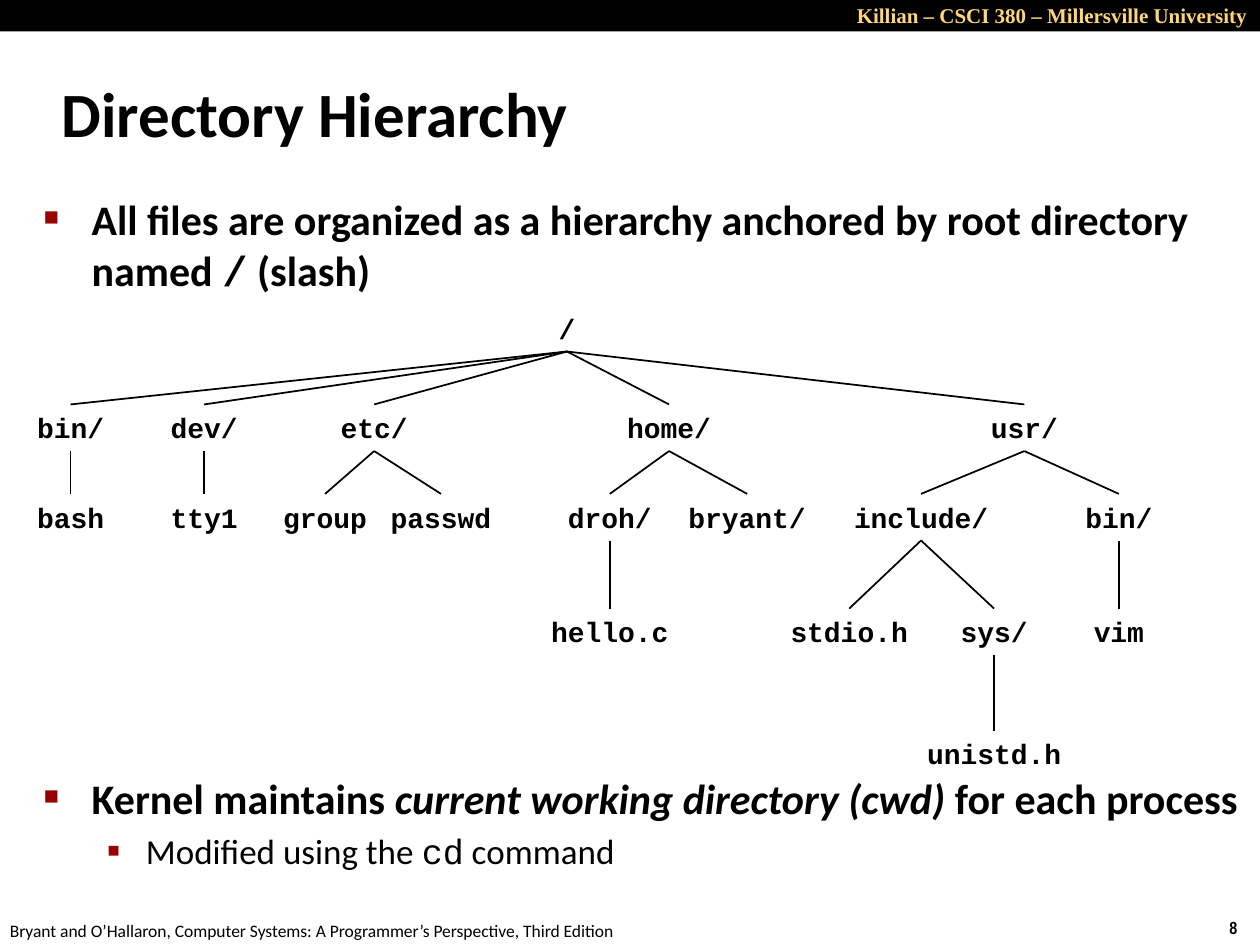
from lxml import etree
from pptx import Presentation
from pptx.dml.color import RGBColor
from pptx.enum.shapes import MSO_CONNECTOR, MSO_SHAPE
from pptx.enum.text import MSO_ANCHOR, PP_ALIGN
from pptx.oxml.ns import qn
from pptx.util import Inches, Pt

LINE, RECT = MSO_CONNECTOR.STRAIGHT, MSO_SHAPE.RECTANGLE
LEFT, MID, RIGHT = PP_ALIGN.LEFT, PP_ALIGN.CENTER, PP_ALIGN.RIGHT
CENTER = MSO_ANCHOR.MIDDLE
COLORS = {"ink": "000000", "gold": "FFD579", "red": "990000"}
SANS, MONO, SERIF, THIN = "Calibri", "Courier New", "Times New Roman", "Arial Narrow"

TITLE = "Directory Hierarchy"
LABELS = [
    ("Killian – CSCI 380 – Millersville University",
     (6.67, -0.03, 3.33, 0.3), RIGHT, (SERIF, 12, True, False, "gold")),
    ("8", (9.66, 7.23, 0.34, 0.27), LEFT, (THIN, 10, True)),
    ("Bryant and O’Hallaron, Computer Systems: A Programmer’s Perspective, Third Edition",
     (-0.02, 7.25, 5.08, 0.27), LEFT, (SANS, 10)),
]
HEAD, CODE = (SANS, 24, True), (MONO, 24, True)
SUB, CMD = (SANS, 20), (MONO, 20)
BODY = [
    {"level": 0, "before": 0, "runs": [
        ("All files are organized as a hierarchy anchored by root directory named ", HEAD),
        ("/", CODE), (" (slash)", HEAD)]},
    {"level": 0, "before": 273, "runs": [
        ("Kernel maintains ", HEAD),
        ("current working directory (cwd) ", (SANS, 24, True, True)),
        ("for each process", HEAD)]},
    {"level": 1, "before": 4, "runs": [
        ("Modified using the ", SUB), ("cd", CMD), (" command", SUB)]},
]
BULLETS = [(0.38, -0.38, "■", 60, MONO), (0.81, -0.31, "▪", 110, SANS)]
TREE = {
    "/": 4.5,
    "/bin/": 0.56, "/bin/bash": 0.56,
    "/dev/": 1.62, "/dev/tty1": 1.62,
    "/etc/": 2.97, "/etc/group": 2.58, "/etc/passwd": 3.5,
    "/home/": 5.31, "/home/droh/": 4.84, "/home/droh/hello.c": 4.84,
    "/home/bryant/": 5.93,
    "/usr/": 8.13, "/usr/include/": 7.31, "/usr/include/stdio.h": 6.74,
    "/usr/include/sys/": 7.89, "/usr/include/sys/unistd.h": 7.89,
    "/usr/bin/": 8.88, "/usr/bin/vim": 8.88,
}
ROWS = [2.42, 3.21, 3.92, 4.83, 5.8]
NODE_H, PAIR_W, PAD = 0.37, 0.27, 0.2


def color(name):
    """Return the named colour."""
    return RGBColor.from_string(COLORS[name])


def add_run(para, text, face, size, bold=False, italic=False, ink="ink"):
    """Add one styled run."""
    run = para.add_run()
    run.text = text
    font = run.font
    font.name, font.size, font.bold, font.italic = face, Pt(size), bold, italic
    font.color.rgb = color(ink)


def add_box(slide, box, wrap=False):
    """Add an empty text box and return it."""
    shape = slide.shapes.add_textbox(*map(Inches, box))
    shape.text_frame.word_wrap = wrap
    return shape


def add_label(slide, text, box, align, style):
    """Add a one-line label."""
    shape = add_box(slide, box)
    para = shape.text_frame.paragraphs[0]
    para.alignment = align
    add_run(para, text, *style)
    return shape


def set_bullet(para, level):
    """Give a paragraph the bullet and indent of its level."""
    left, hang, char, size, face = BULLETS[level]
    para.level = level
    props = para._p.get_or_add_pPr()
    props.set("marL", str(Inches(left)))
    props.set("indent", str(Inches(hang)))
    tint = etree.SubElement(props, qn("a:buClr"))
    etree.SubElement(tint, qn("a:srgbClr"), val=COLORS["red"])
    etree.SubElement(props, qn("a:buSzPct"), val=str(size * 1000))
    etree.SubElement(props, qn("a:buFont"), typeface=face)
    etree.SubElement(props, qn("a:buChar"), char=char)


def add_body(slide):
    """Add the bulleted text."""
    frame = add_box(slide, (0.25, 1.49, 9.73, 5.76), True).text_frame
    for i, item in enumerate(BODY):
        para = frame.add_paragraph() if i else frame.paragraphs[0]
        set_bullet(para, item["level"])
        para.space_before = Pt(item["before"])
        for text, style in item["runs"]:
            add_run(para, text, *style)


def add_link(slide, top, low):
    """Join a directory to one of its entries."""
    link = slide.shapes.add_connector(LINE, 0, 0, 0, 0)
    link.begin_connect(top, 2)
    link.end_connect(low, 0)
    link.line.color.rgb = color("ink")
    link.line.width = Pt(1)
    etree.SubElement(link._element.spPr, qn("a:effectLst"))


def add_tree(slide):
    """Add the directory tree, each path under its parent."""
    nodes = {}
    for name, mid in TREE.items():
        parts = name.strip("/").split("/")
        depth = len(parts) if name != "/" else 0
        tail = "/" if name.endswith("/") else ""
        text = parts[-1] + tail
        wide = PAD + PAIR_W * len(text) / 2
        box = (mid - wide / 2, ROWS[depth], wide, NODE_H)
        nodes[name] = add_label(slide, text, box, MID, (MONO, 16, True))
        if depth:
            add_link(slide, nodes[name[:-len(text)]], nodes[name])


def main():
    """Build and save the slide."""
    deck = Presentation()
    deck.slide_width, deck.slide_height = Inches(10), Inches(7.5)
    slide = deck.slides.add_slide(deck.slide_layouts[5])

    bar = slide.shapes.add_shape(RECT, 0, 0, Inches(10), Inches(0.25))
    bar.shadow.inherit = False
    bar.fill.solid()
    bar.fill.fore_color.rgb = color("ink")
    bar.line.fill.background()
    for label in LABELS:
        add_label(slide, *label)

    title = slide.shapes.title
    title.left, title.top = Inches(0.39), Inches(0.48)
    title.width, title.height = Inches(8.3), Inches(0.83)
    title.text_frame.vertical_anchor = CENTER
    para = title.text_frame.paragraphs[0]
    para.alignment = LEFT
    add_run(para, TITLE, SANS, 36, True)

    add_body(slide)
    add_tree(slide)
    deck.save("out.pptx")


if __name__ == "__main__":
    main()
